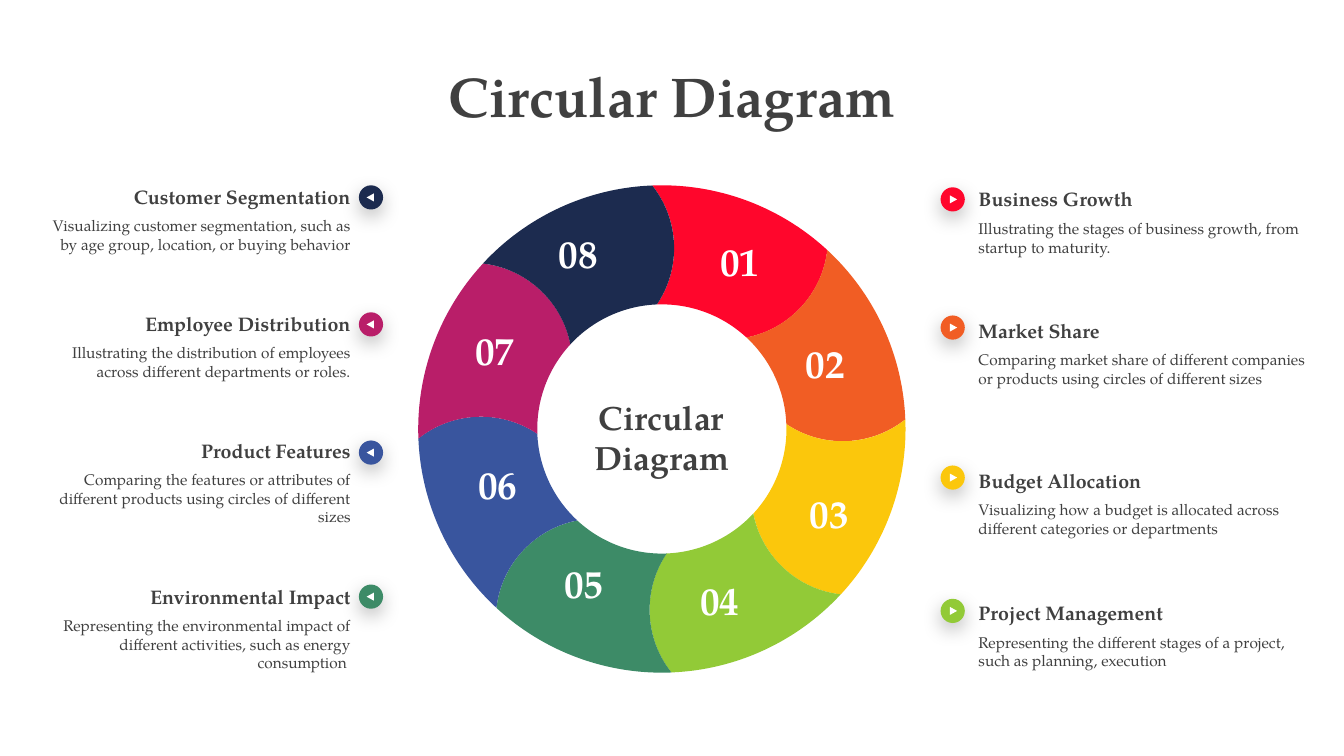
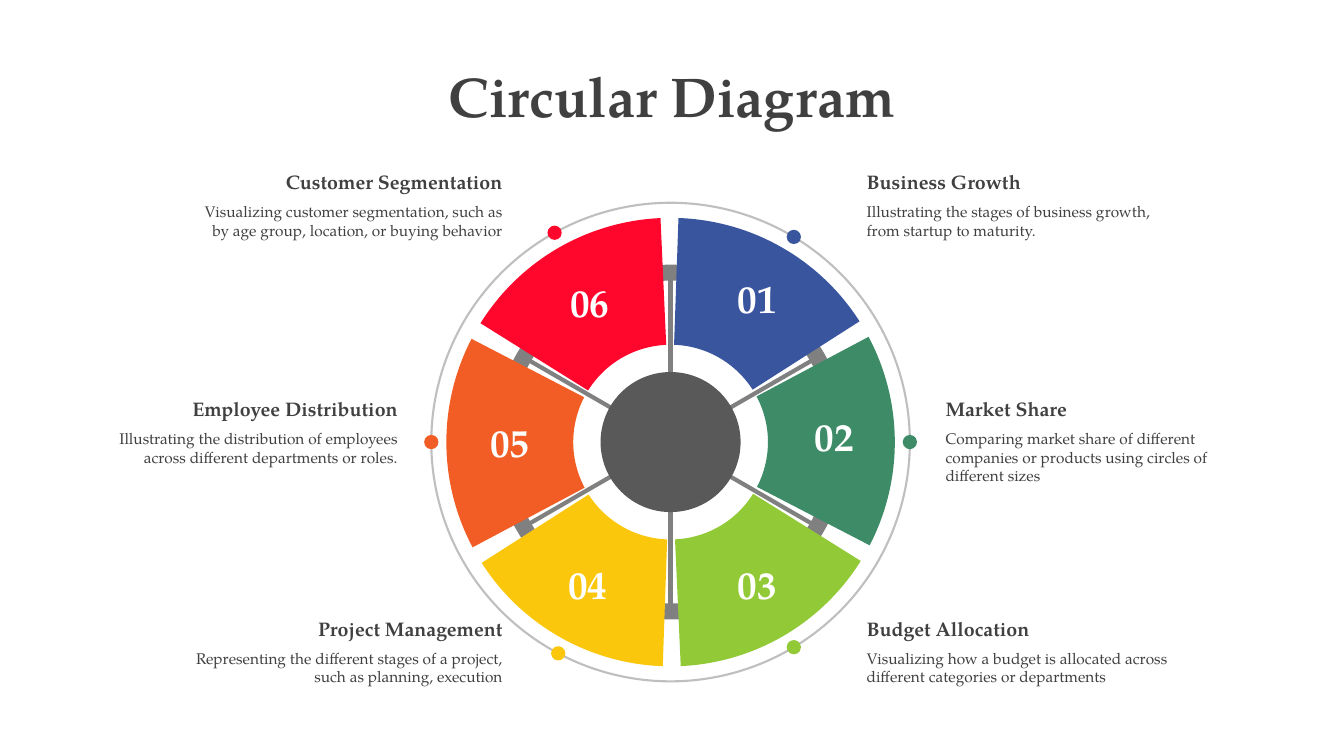
import math
from dataclasses import dataclass

import pptx
import pptx.util
import pptx.dml.color
import pptx.enum.shapes
import pptx.enum.text
import pptx.oxml.ns
from lxml import etree

Cm = pptx.util.Cm
Pt = pptx.util.Pt
SHAPE = pptx.enum.shapes.MSO_SHAPE
ALIGN = pptx.enum.text.PP_ALIGN
qn = pptx.oxml.ns.qn


@dataclass(frozen=True)
class Theme:
    font: str = "TeX Gyre Pagella"
    ink: str = "404040"
    white: str = "FFFFFF"
    hub: str = "595959"
    spoke: str = "808080"
    orbit: str = "BFBFBF"
    red: str = "FF062C"
    orange: str = "F15D24"
    yellow: str = "FBC70C"
    lime: str = "92CA37"
    green: str = "3D8B67"
    blue: str = "39559E"
    magenta: str = "B91E69"
    navy: str = "1C2B4F"
    title_size: int = 40
    number_size: int = 28
    center_size: int = 24
    heading_size: int = 14
    body_size: int = 11


THEME = Theme()

# Lengths below are centimetres; angles are degrees clockwise from the top.
SLIDE_WIDTH, SLIDE_HEIGHT = 33.87, 19.05
TITLE = "Circular Diagram"
NOTE_WIDTH = 7.95

TOPICS = {
    "Business Growth": "Illustrating the stages of business growth, from startup to maturity.",
    "Market Share": "Comparing market share of different companies or products using circles of different sizes",
    "Budget Allocation": "Visualizing how a budget is allocated across different categories or departments",
    "Project Management": "Representing the different stages of a project, such as planning, execution",
    "Environmental Impact": "Representing the environmental impact of different activities, such as energy consumption ",
    "Product Features": "Comparing the features or attributes of different products using circles of different sizes",
    "Employee Distribution": "Illustrating the distribution of employees across different departments or roles.",
    "Customer Segmentation": "Visualizing customer segmentation, such as by age group, location, or buying behavior",
}

# topic, colour, side, note top, badge top, number centre
SWIRL_STEPS = [
    ("Business Growth", THEME.red, "right", 4.72, 4.72, (18.64, 6.59)),
    ("Market Share", THEME.orange, "right", 8.03, 7.95, (20.8, 9.16)),
    ("Budget Allocation", THEME.yellow, "right", 11.81, 11.73, (20.9, 12.92)),
    ("Project Management", THEME.lime, "right", 15.14, 15.09, (18.14, 15.13)),
    ("Environmental Impact", THEME.green, "left", 14.73, 14.73, (14.71, 14.69)),
    ("Product Features", THEME.blue, "left", 11.05, 11.1, (12.55, 12.2)),
    ("Employee Distribution", THEME.magenta, "left", 7.85, 7.87, (12.47, 8.83)),
    ("Customer Segmentation", THEME.navy, "left", 4.65, 4.67, (14.58, 6.39)),
]
SWIRL_CENTER = (16.68, 10.81)
SWIRL_OUTER, SWIRL_HOLE = 6.14, 3.14
SWIRL_START = -2.25
# radius and angle ahead of the spoke, for the curved edge from rim to hole
SWIRL_EDGE = [(SWIRL_OUTER, 0), (5.29, 7.1), (4.08, 9.2), (SWIRL_HOLE, 0)]
BADGE = 0.61

# side: note left, note width, alignment, badge centre, arrow rotation, arrow nudge
SWIRL_SIDES = {
    "left": (0.89, NOTE_WIDTH, ALIGN.RIGHT, 9.35, 270, -0.02),
    "right": (24.66, 8.31, ALIGN.LEFT, 24.01, 90, 0.02),
}

# topic, colour, side, note edge nearest the wheel, note top, dot angle, number centre
WHEEL_STEPS = [
    ("Business Growth", THEME.blue, "right", 21.84, 4.29, 31, (19.08, 7.51)),
    ("Market Share", THEME.green, "right", 23.83, 10.01, 90, (21.03, 10.99)),
    ("Budget Allocation", THEME.lime, "right", 21.84, 15.54, 149, (19.08, 14.72)),
    ("Project Management", THEME.yellow, "left", 12.67, 15.54, 208, (14.81, 14.72)),
    ("Employee Distribution", THEME.orange, "left", 10.03, 10.01, 270, (12.85, 11.14)),
    ("Customer Segmentation", THEME.red, "left", 12.67, 4.29, 331, (14.86, 7.61)),
]
WHEEL_CENTER = (16.9, 11.14)
ORBIT = 12.06
WHEEL = 11.3
COLLAR = 8.94
HUB = 3.53
DOT = 0.36
SPOKE = 4.35
SECTOR_GAP = 2
SECTOR_SPAN = 55.41


def rgb(code):
    return pptx.dml.color.RGBColor.from_string(code)


def polar(center, radius, angle):
    turn = math.radians(angle)
    return center[0] + radius * math.sin(turn), center[1] - radius * math.cos(turn)


def write(frame, paragraphs, align=ALIGN.CENTER, color=THEME.ink, before=0, inset=True):
    """Fill a text frame with (text, size, bold) paragraphs."""
    frame.word_wrap = True
    frame.vertical_anchor = pptx.enum.text.MSO_ANCHOR.TOP
    if not inset:
        frame.margin_left = frame.margin_right = frame.margin_top = frame.margin_bottom = 0
    for index, (text, size, bold) in enumerate(paragraphs):
        para = frame.add_paragraph() if index else frame.paragraphs[0]
        para.alignment = align
        para.space_before = Pt(before)
        span = para.add_run()
        span.text = text
        span.font.name = THEME.font
        span.font.size = Pt(size)
        span.font.bold = bold
        span.font.color.rgb = rgb(color)


def add_text(page, left, top, width, height, paragraphs, **style):
    box = page.shapes.add_textbox(Cm(left), Cm(top), Cm(width), Cm(height))
    write(box.text_frame, paragraphs, **style)


def add_note(page, topic, left, top, width, align):
    paragraphs = [(topic, THEME.heading_size, True), (TOPICS[topic], THEME.body_size, False)]
    add_text(page, left, top, width, 1.75, paragraphs, align=align, before=6, inset=False)


def add_number(page, number, center):
    width, height = 2.29, 1.45
    add_text(page, center[0] - width / 2, center[1] - height / 2, width, height,
             [(f"{number:02d}", THEME.number_size, True)], color=THEME.white)


def paint(shape, fill):
    shape.shadow.inherit = False
    shape.fill.solid()
    shape.fill.fore_color.rgb = rgb(fill)
    shape.line.fill.background()


def add_centered(page, kind, center, width, height, fill, rotation=0):
    shape = page.shapes.add_shape(kind, Cm(center[0] - width / 2), Cm(center[1] - height / 2),
                                  Cm(width), Cm(height))
    paint(shape, fill)
    shape.rotation = rotation
    return shape


def add_soft_shadow(shape):
    effects = shape._element.spPr.find(qn("a:effectLst"))
    shadow = etree.SubElement(effects, qn("a:outerShdw"), blurRad=str(Pt(14)), dist=str(Pt(5)),
                              dir="5400000", algn="t", rotWithShape="0")
    color = etree.SubElement(shadow, qn("a:srgbClr"), val="000000")
    etree.SubElement(color, qn("a:alpha"), val="25000")


def add_page(deck):
    page = deck.slides.add_slide(deck.slide_layouts[5])
    title = page.shapes.title
    title.left, title.top, title.width, title.height = Cm(0), Cm(1.42), Cm(SLIDE_WIDTH), Cm(1.96)
    title.text_frame.auto_size = pptx.enum.text.MSO_AUTO_SIZE.NONE
    write(title.text_frame, [(TITLE, THEME.title_size, True)])
    return page


def arc_controls(radius, sweep):
    """Bezier controls of a circular arc, as (radius, angle) pairs."""
    handle = 4 / 3 * math.tan(math.radians(sweep) / 4)
    reach = radius * math.hypot(1, handle)
    lean = math.degrees(math.atan(handle))
    return [(radius, 0), (reach, lean), (reach, sweep - lean), (radius, sweep)]


def bend(shape):
    """Turn each three line segments of a freeform into one Bezier curve."""
    lines = list(shape._element.iter(qn("a:lnTo")))
    for first in range(0, len(lines), 3):
        curve = etree.Element(qn("a:cubicBezTo"))
        lines[first].addprevious(curve)
        for line in lines[first:first + 3]:
            curve.append(line[0])
            line.getparent().remove(line)


def add_swirl_segment(page, start, sweep, fill):
    next_edge = [(radius, angle + sweep) for radius, angle in SWIRL_EDGE]
    outline = (arc_controls(SWIRL_OUTER, sweep) + next_edge[1:]
               + arc_controls(SWIRL_HOLE, sweep)[-2::-1] + SWIRL_EDGE[-2::-1])
    points = [tuple(Cm(value) for value in polar(SWIRL_CENTER, radius, start + angle))
              for radius, angle in outline]
    builder = page.shapes.build_freeform(*points[0], scale=1.0)
    builder.add_line_segments(points[1:], close=True)
    segment = builder.convert_to_shape()
    bend(segment)
    paint(segment, fill)


def build_swirl(deck):
    page = add_page(deck)
    sweep = 360 // len(SWIRL_STEPS)
    for index, (topic, color, side, top, badge_top, spot) in enumerate(SWIRL_STEPS):
        left, width, align, badge_x, turn, nudge = SWIRL_SIDES[side]
        add_note(page, topic, left, top, width, align)
        badge_y = badge_top + BADGE / 2
        add_soft_shadow(add_centered(page, SHAPE.OVAL, (badge_x, badge_y), BADGE, BADGE, color))
        add_centered(page, SHAPE.ISOSCELES_TRIANGLE, (badge_x + nudge, badge_y),
                     0.2, 0.18, THEME.white, turn)
        add_swirl_segment(page, SWIRL_START + index * sweep, sweep, color)
        add_number(page, index + 1, spot)
    add_text(page, 13.61, 9.88, 6.12, 2.31, [(TITLE, THEME.center_size, True)])


def add_spoke(page, angle):
    ends = [Cm(value) for turn in (angle, angle + 180)
            for value in polar(WHEEL_CENTER, SPOKE, turn)]
    line = page.shapes.add_connector(pptx.enum.shapes.MSO_CONNECTOR.STRAIGHT, *ends)
    line.line.color.rgb = rgb(THEME.spoke)
    line.line.width = Pt(3)
    etree.SubElement(line._element.spPr, qn("a:effectLst"))


def build_wheel(deck):
    page = add_page(deck)
    orbit = add_centered(page, SHAPE.OVAL, WHEEL_CENTER, ORBIT, ORBIT, THEME.white)
    orbit.fill.background()
    orbit.line.color.rgb = rgb(THEME.orbit)
    orbit.line.width = Pt(1.5)
    for angle in (0, 60, 120):
        add_spoke(page, angle)
    add_centered(page, SHAPE.OVAL, WHEEL_CENTER, HUB, HUB, THEME.hub)
    collar = add_centered(page, SHAPE.DONUT, WHEEL_CENTER, COLLAR, COLLAR, THEME.spoke)
    collar.adjustments[0] = 0.045

    sweep = 360 // len(WHEEL_STEPS)
    for index, (topic, color, side, edge, top, dot_angle, spot) in enumerate(WHEEL_STEPS):
        add_centered(page, SHAPE.OVAL, polar(WHEEL_CENTER, ORBIT / 2, dot_angle), DOT, DOT, color)
        # The unrotated sector starts at the left, 90 degrees before the top.
        rotation = (90 + SECTOR_GAP + index * sweep) % 360
        sector = add_centered(page, SHAPE.BLOCK_ARC, WHEEL_CENTER, WHEEL, WHEEL, color, rotation)
        # An adjustment of 0.6 stands for one degree.
        sector.adjustments[0] = 180 * 0.6
        sector.adjustments[1] = (180 + SECTOR_SPAN) * 0.6
        sector.adjustments[2] = 0.283
        add_number(page, index + 1, spot)
        if side == "left":
            add_note(page, topic, edge - NOTE_WIDTH, top, NOTE_WIDTH, ALIGN.RIGHT)
        else:
            add_note(page, topic, edge, top, NOTE_WIDTH, ALIGN.LEFT)


def main():
    deck = pptx.Presentation()
    deck.slide_width, deck.slide_height = Cm(SLIDE_WIDTH), Cm(SLIDE_HEIGHT)
    build_swirl(deck)
    build_wheel(deck)
    deck.save("out.pptx")


if __name__ == "__main__":
    main()
